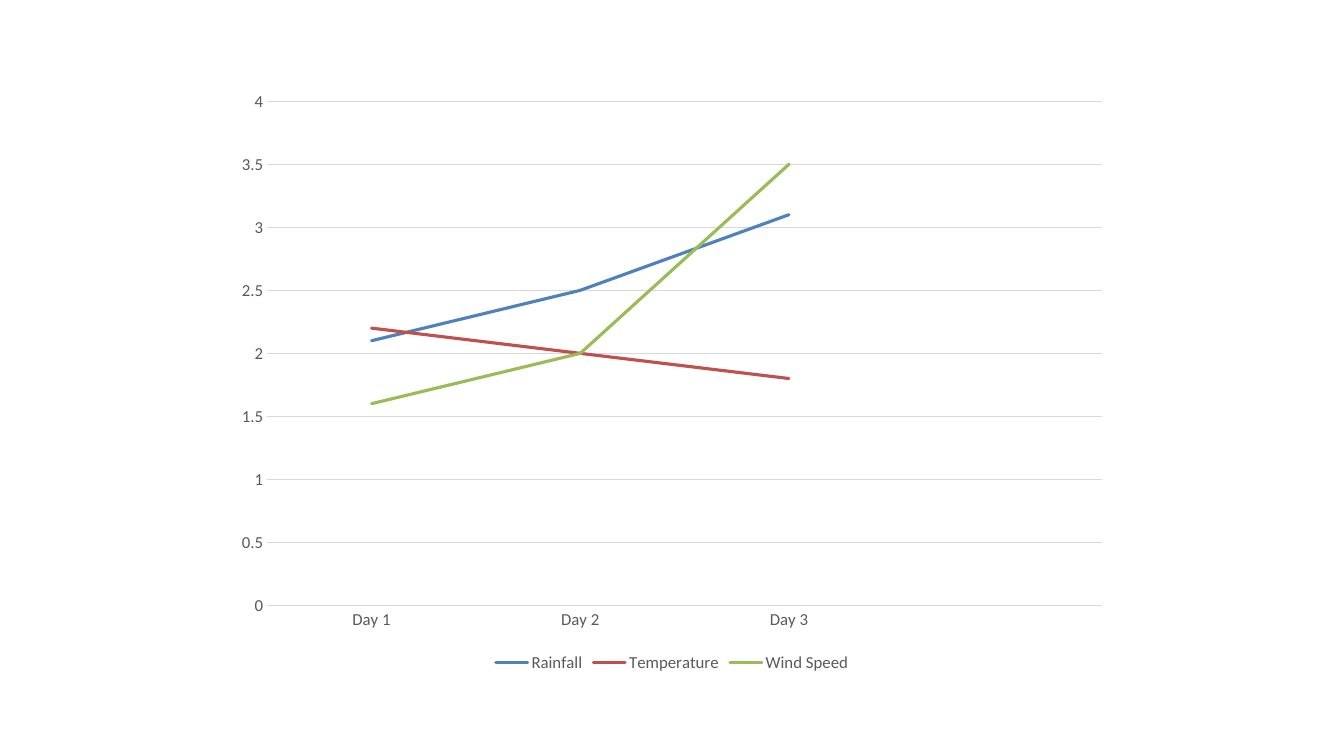
from pptx import Presentation
from pptx import util as u
from pptx.chart import data as chart_data
from pptx.dml import color
from pptx.enum import chart as chart_enum

COLORS = {
    "text": "595959",
    "rule": "D9D9D9",
    "Rainfall": "4F81BD",
    "Temperature": "C0504D",
    "Wind Speed": "9BBB59",
}
# The last day is an unlabelled, empty slot on the axis
DAYS = ["Day 1", "Day 2", "Day 3", ""]
WEATHER = {
    "Rainfall": [2.1, 2.5, 3.1, None],
    "Temperature": [2.2, 2, 1.8, None],
    "Wind Speed": [1.6, 2, 3.5, None],
}


class SlideBuilder:
    """Holds the style and the current slide; lengths are shares of its size."""

    font_name = "Calibri"
    font_size = u.Pt(12)

    def __init__(self, presentation):
        self.width = presentation.slide_width
        self.height = presentation.slide_height
        self.slide = presentation.slides.add_slide(presentation.slide_layouts[6])

    def style_font(self, font):
        font.name = self.font_name
        font.size = self.font_size
        font.color.rgb = color.RGBColor.from_string(COLORS["text"])

    def style_line(self, line, color_name, points):
        line.color.rgb = color.RGBColor.from_string(COLORS[color_name])
        line.width = u.Pt(points)

    def line_chart(self, left, top, width, height, categories, series):
        data = chart_data.CategoryChartData()
        data.categories = categories
        for name, values in series.items():
            data.add_series(name, values)
        chart = self.slide.shapes.add_chart(
            chart_enum.XL_CHART_TYPE.LINE,
            round(left * self.width), round(top * self.height),
            round(width * self.width), round(height * self.height), data,
        ).chart
        chart.has_title = False
        self.style_font(chart.font)

        # Axes and gridlines
        for axis in (chart.category_axis, chart.value_axis):
            axis.major_tick_mark = chart_enum.XL_TICK_MARK.NONE
            axis.minor_tick_mark = chart_enum.XL_TICK_MARK.NONE
            self.style_font(axis.tick_labels.font)
        self.style_line(chart.category_axis.format.line, "rule", 0.75)
        chart.value_axis.format.line.fill.background()
        chart.value_axis.minimum_scale = 0
        chart.value_axis.maximum_scale = 4
        chart.value_axis.major_unit = 0.5
        self.style_line(chart.value_axis.major_gridlines.format.line, "rule", 0.75)

        # Legend
        chart.has_legend = True
        chart.legend.position = chart_enum.XL_LEGEND_POSITION.BOTTOM
        chart.legend.include_in_layout = False
        self.style_font(chart.legend.font)

        # Series
        plot = chart.plots[0]
        plot.vary_by_categories = False
        for line_series in plot.series:
            line_series.smooth = False
            line_series.marker.style = chart_enum.XL_MARKER_STYLE.NONE
            line = line_series.format.line
            self.style_line(line, line_series.name, 2.25)
            line_series.format.line._ln.set("cap", "rnd")


def main():
    presentation = Presentation()
    presentation.slide_width = u.Inches(13.33)
    presentation.slide_height = u.Inches(7.5)

    # Weather chart, centred across the slide
    builder = SlideBuilder(presentation)
    builder.line_chart(1 / 6, 0.105, 2 / 3, 0.79, DAYS, WEATHER)

    presentation.save("out.pptx")


if __name__ == "__main__":
    main()
